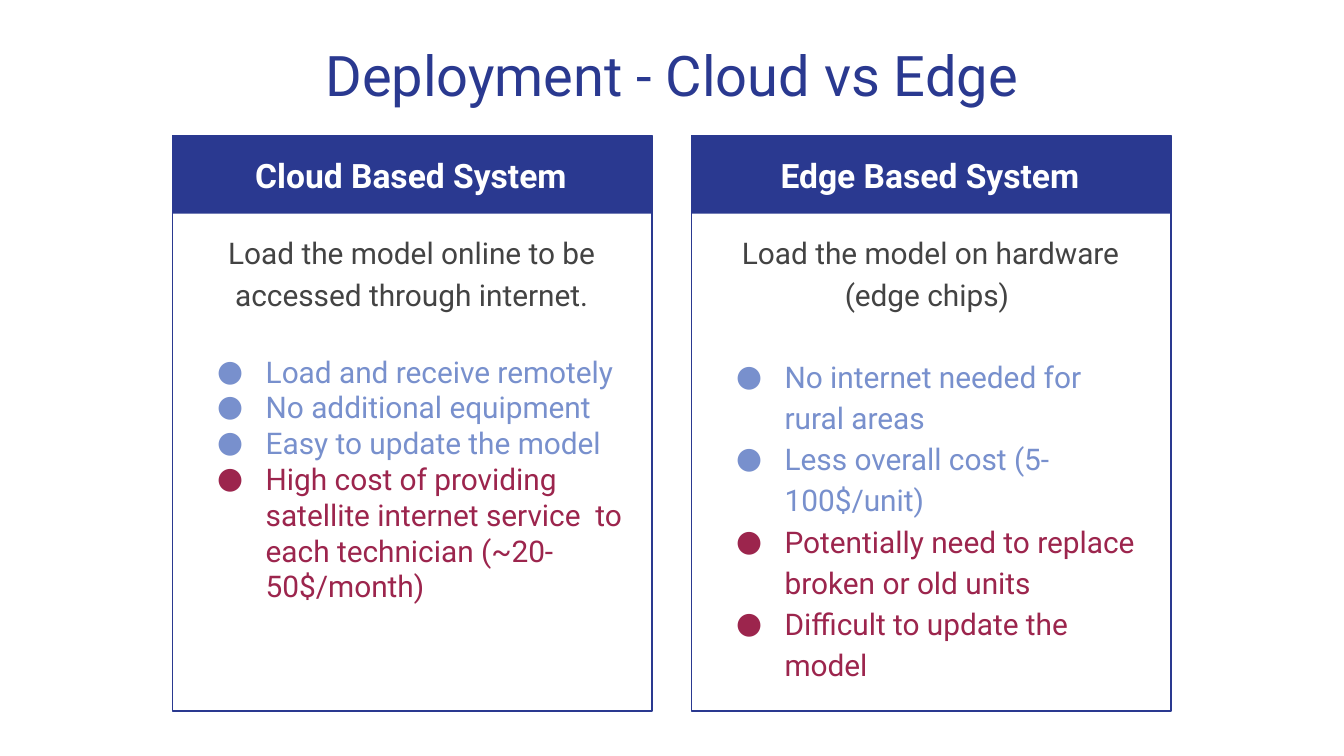
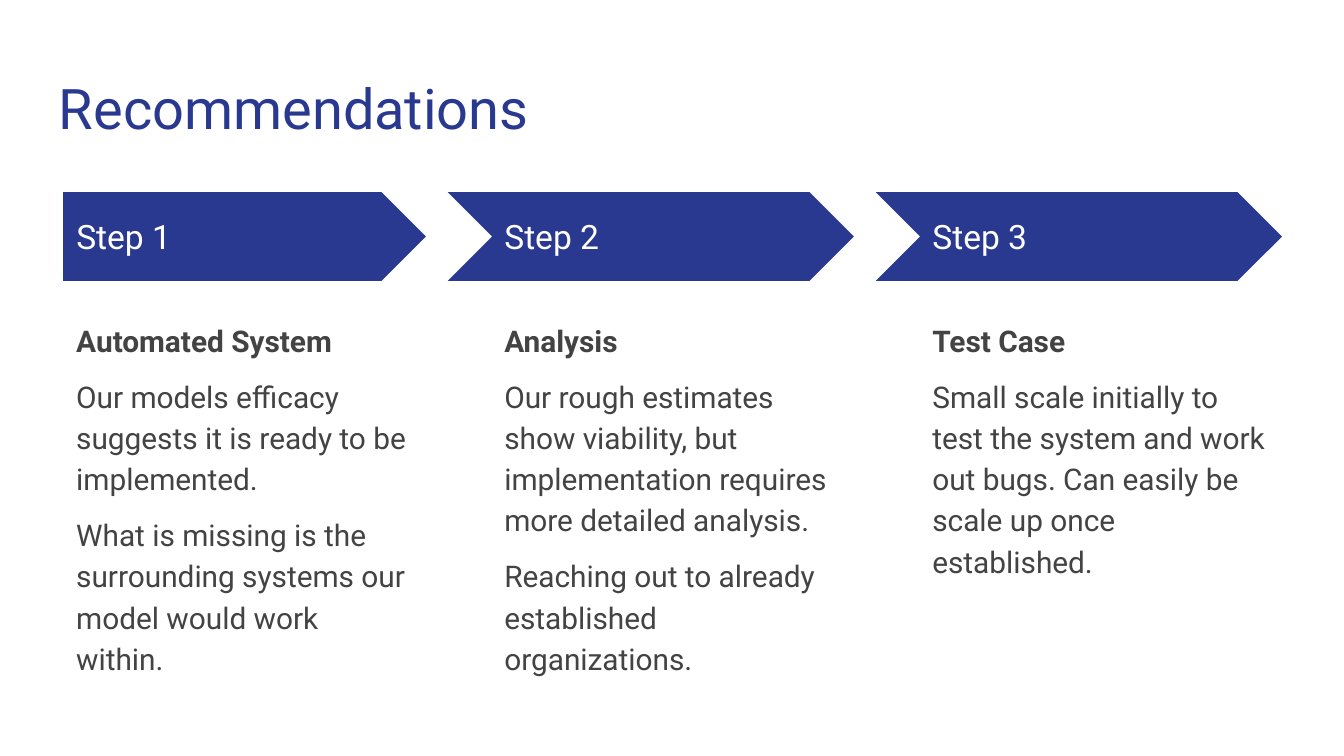
from lxml.etree import SubElement
from pptx import Presentation
from pptx.dml.color import RGBColor
from pptx.enum.shapes import MSO_SHAPE as Shape
from pptx.enum.text import MSO_ANCHOR as Anchor, PP_ALIGN as Align
from pptx.oxml.ns import qn
from pptx.util import Pt

FONT = "Roboto"
NAVY, WHITE, GREY = "2A3990", "FFFFFF", "434343"
PRO, CON = "7890CD", "9C254D"


def rgb(color):
    return RGBColor.from_string(color)


class Deck:
    """Holds the shared style and the slide being built."""

    def __init__(self):
        self.prs = Presentation()
        self.prs.slide_width, self.prs.slide_height = Pt(720), Pt(405)
        self.slide = None

    def new_slide(self, title, top, align=Align.LEFT):
        self.slide = self.prs.slides.add_slide(self.prs.slide_layouts[6])
        heading = self.frame(24.5, top, 671, 47.5)
        self.paragraph(heading, title, 30, NAVY, align=align)

    def shape(self, kind, left, top, width, height, fill=None, line=None):
        block = self.slide.shapes.add_shape(kind, Pt(left), Pt(top), Pt(width), Pt(height))
        block.shadow.inherit = False
        if fill:
            block.fill.solid()
            block.fill.fore_color.rgb = rgb(fill)
        else:
            block.fill.background()
        if line:
            block.line.color.rgb = rgb(line)
            block.line.width = Pt(0.75)
        else:
            block.line.fill.background()

    def frame(self, left, top, width, height, anchor=Anchor.TOP):
        box = self.slide.shapes.add_textbox(Pt(left), Pt(top), Pt(width), Pt(height))
        frame = box.text_frame
        frame.word_wrap = True
        frame.vertical_anchor = anchor
        frame.margin_left = frame.margin_right = Pt(7.2)
        frame.margin_top = frame.margin_bottom = Pt(7.2)
        return frame

    def paragraph(self, frame, text, size, color, bold=False, align=Align.LEFT,
                  spacing=1.0, before=0, after=0):
        # Fill the first, still empty paragraph before adding more
        para = frame.add_paragraph() if frame.text else frame.paragraphs[0]
        para.text = text
        para.alignment = align
        para.line_spacing = spacing
        para.space_before, para.space_after = Pt(before), Pt(after)
        for run in para.runs:
            run.font.name, run.font.size, run.font.bold = FONT, Pt(size), bold
            run.font.color.rgb = rgb(color)
        return para

    def bullet(self, frame, text, color, spacing):
        para = self.paragraph(frame, text, 16, color, spacing=spacing)
        props = para._p.get_or_add_pPr()
        props.set("marL", str(Pt(36)))
        props.set("indent", str(-Pt(26)))
        tint = SubElement(props, qn("a:buClr"))
        SubElement(tint, qn("a:srgbClr"), val=color)
        SubElement(props, qn("a:buFont"), typeface=FONT)
        SubElement(props, qn("a:buChar"), char="●")

    def panel(self, left, heading, intro, points, spacing):
        top, width = 72.7, 257
        self.shape(Shape.RECTANGLE, left, top, width, 41.8, fill=NAVY)
        self.shape(Shape.RECTANGLE, left, top, width, 308.2, line=NAVY)
        header = self.frame(left + 5.8, top, 244, 36)
        self.paragraph(header, heading, 18, WHITE, True, Align.CENTER, 1.15)
        body = self.frame(left + 6.9, 115.9, 242.6, 250)
        self.paragraph(body, intro, 16, GREY, align=Align.CENTER, spacing=1.15, after=22)
        for text, color in points:
            self.bullet(body, text, color, spacing)

    def step(self, number, heading, details):
        left, top, width, notch = 33.8 + 229.3 * (number - 1), 103, 194.4, 23.2
        if number == 1:
            self.shape(Shape.PENTAGON, left, top, width, 47.5, fill=NAVY)
        else:
            self.shape(Shape.CHEVRON, left - notch, top, width + notch, 47.5, fill=NAVY)
        label = self.frame(left, 114.5, 178, 24.5, Anchor.MIDDLE)
        self.paragraph(label, f"Step {number}", 18, WHITE)
        body = self.frame(left, 162.7, width, 208.8)
        self.paragraph(body, heading, 16, GREY, True, spacing=1.15)
        for detail in details:
            self.paragraph(body, detail, 16, GREY, spacing=1.15, before=8)


PANELS = [
    ("Cloud Based System", "Load the model online to be accessed through internet.", [
        ("Load and receive remotely", PRO),
        ("No additional equipment", PRO),
        ("Easy to update the model", PRO),
        ("High cost of providing satellite internet service  to each technician "
         "(~20-50$/month)", CON),
    ], 1.0),
    ("Edge Based System", "Load the model on hardware (edge chips) ", [
        ("No internet needed for rural areas", PRO),
        ("Less overall cost (5-100$/unit)", PRO),
        ("Potentially need to replace broken or old units", CON),
        ("Difficult to update the model", CON),
    ], 1.15),
]

STEPS = [
    ("Automated System", [
        "Our models efficacy suggests it is ready to be implemented.",
        "What is missing is the surrounding systems our model would work within.",
    ]),
    ("Analysis", [
        "Our rough estimates show viability, but implementation requires more "
        "detailed analysis.",
        "Reaching out to already established organizations.",
    ]),
    ("Test Case", [
        "Small scale initially to test the system and work out bugs. Can easily be "
        "scale up once established.",
    ]),
]


def main():
    deck = Deck()

    # Deployment: two panels side by side
    deck.new_slide("Deployment - Cloud vs Edge", 14.4, Align.CENTER)
    for column, panel in enumerate(PANELS):
        deck.panel(92.4 + 278 * column, *panel)

    # Recommendations: three steps in a row
    deck.new_slide("Recommendations", 32.4)
    for number, (heading, details) in enumerate(STEPS, start=1):
        deck.step(number, heading, details)

    deck.prs.save("out.pptx")


if __name__ == "__main__":
    main()
